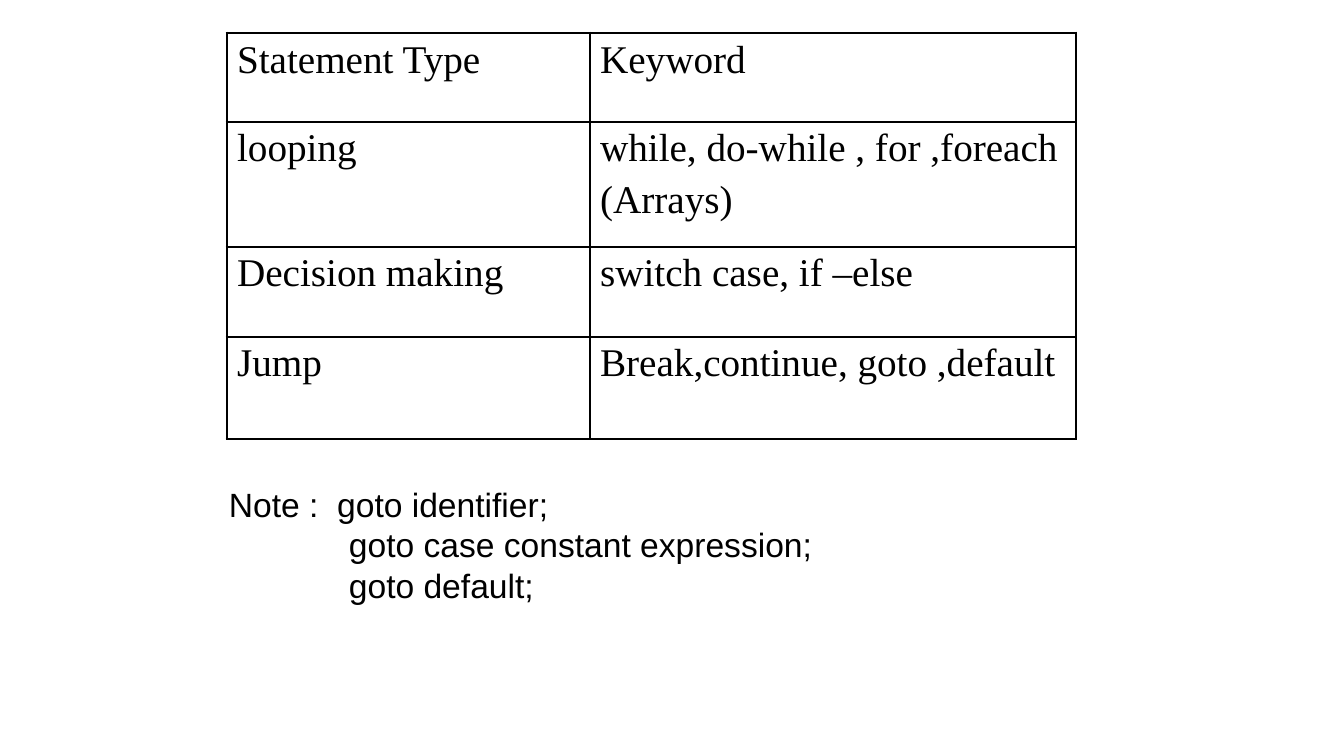
from dataclasses import dataclass

from lxml import etree
from pptx import Presentation
from pptx import util as u
from pptx.dml.color import RGBColor
from pptx.oxml.ns import qn

SCALE = 914400 / 100.8
BLACK = "000000"
THIN, THICK = 1, 2.25
COLUMN_WIDTHS = (363, 486)


@dataclass
class StatementRow:
    height: int
    statement_type: str
    keywords: str


@dataclass
class NoteLine:
    wording: str
    indent: int


ROWS = (
    StatementRow(89, "Statement Type", "Keyword"),
    StatementRow(125, "looping", "while, do-while , for ,foreach\n(Arrays)"),
    StatementRow(90, "Decision making", "switch case, if –else"),
    StatementRow(102, "Jump", "Break,continue, goto ,default"),
)
NOTES = (
    NoteLine("Note :  goto identifier;", 0),
    NoteLine("goto case constant expression;", 120),
    NoteLine("goto default;", 120),
)


def px(length: float) -> u.Emu:
    return u.Emu(round(length * SCALE))


def color(value: str) -> RGBColor:
    return RGBColor.from_string(value)


def style(para, font_name: str, size: int) -> None:
    para.font.name = font_name
    para.font.size = u.Pt(size)
    para.font.color.rgb = color(BLACK)


def add_border(cell, side: str, width: float) -> None:
    properties = cell._tc.get_or_add_tcPr()
    border = etree.SubElement(properties, qn(f"a:{side}"), w=str(u.Pt(width)))
    fill = etree.SubElement(border, qn("a:solidFill"))
    etree.SubElement(fill, qn("a:srgbClr"), val=BLACK)


def draw_cell(cell, wording: str, edges: dict[str, bool]) -> None:
    cell.text = wording
    for para in cell.text_frame.paragraphs:
        style(para, "Times New Roman", 28)
        para.space_before = u.Pt(5.6)
    for side, outer in edges.items():
        add_border(cell, side, THICK if outer else THIN)
    cell.fill.background()


def draw_table(page) -> None:
    height = sum(row.height for row in ROWS)
    frame = page.shapes.add_table(
        len(ROWS), len(COLUMN_WIDTHS),
        px(227), px(33), px(sum(COLUMN_WIDTHS)), px(height),
    )
    table = frame.table
    table.first_row = table.horz_banding = False
    for column, width in zip(table.columns, COLUMN_WIDTHS):
        column.width = px(width)
    for r, row in enumerate(ROWS):
        table.rows[r].height = px(row.height)
        for c, wording in enumerate((row.statement_type, row.keywords)):
            edges = {
                "lnL": c == 0,
                "lnR": c == len(COLUMN_WIDTHS) - 1,
                "lnT": r == 0,
                "lnB": r == len(ROWS) - 1,
            }
            draw_cell(table.cell(r, c), wording, edges)


def draw_notes(page) -> None:
    box = page.shapes.add_textbox(px(219), px(479), px(832), px(132))
    frame = box.text_frame
    frame.word_wrap = True
    frame.text = "\n".join(note.wording for note in NOTES)
    for para, note in zip(frame.paragraphs, NOTES):
        style(para, "Arial", 24)
        para._p.get_or_add_pPr().set("marL", str(px(note.indent)))


deck = Presentation()
deck.slide_width, deck.slide_height = px(1344), px(756)
page = deck.slides.add_slide(deck.slide_layouts[6])
draw_table(page)
draw_notes(page)
deck.save("out.pptx")
